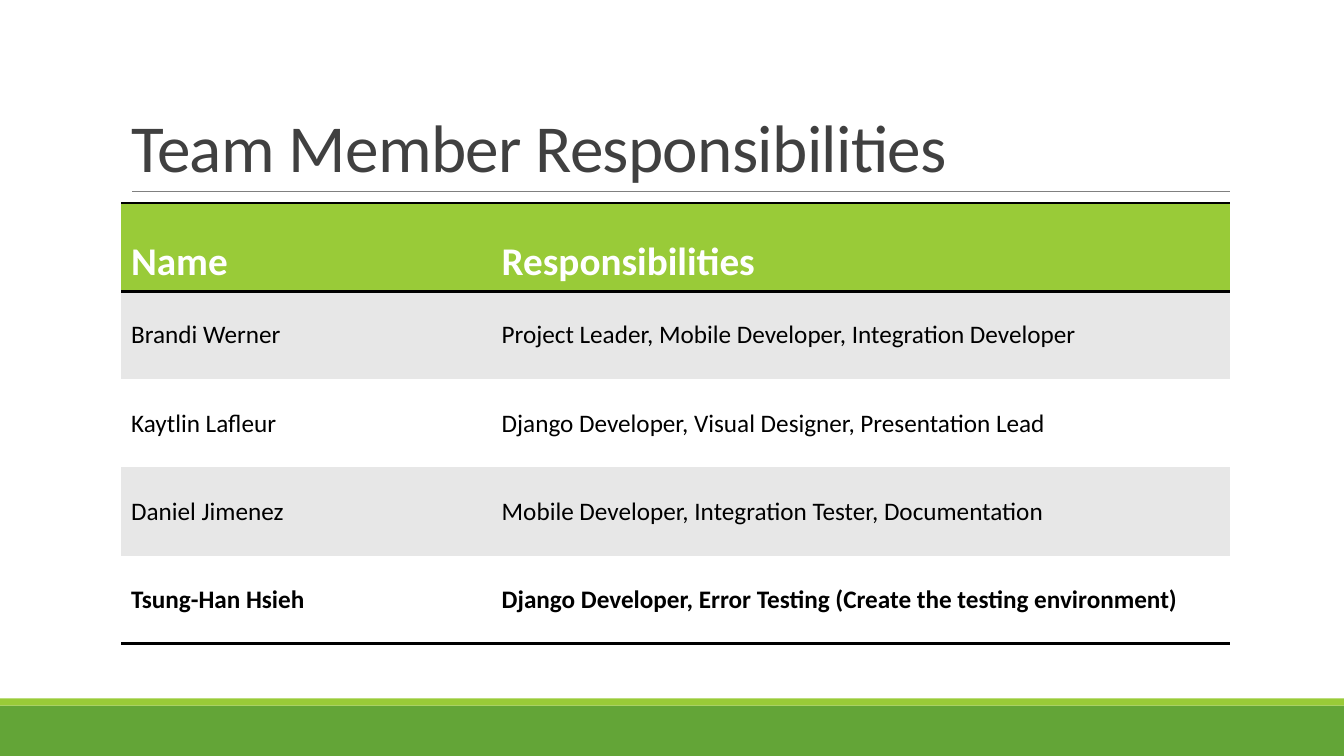
from dataclasses import dataclass

from lxml import etree
from pptx import Presentation
from pptx import util as u
from pptx.dml.color import RGBColor
from pptx.enum import shapes, text
from pptx.oxml import ns

BLACK = RGBColor(0x00, 0x00, 0x00)
WHITE = RGBColor(0xFF, 0xFF, 0xFF)
CHARCOAL = RGBColor(0x40, 0x40, 0x40)
GRAY = RGBColor(0x80, 0x80, 0x80)
PALE_GRAY = RGBColor(0xE7, 0xE7, 0xE7)
LIME = RGBColor(0x99, 0xCB, 0x38)
GREEN = RGBColor(0x63, 0xA5, 0x37)

FONT = "Calibri"
NO_GRID_STYLE = "{2D5ABB26-0587-4C30-8999-92F81FD0307C}"
SLIDE_WIDTH = u.Cm(33.87)
SLIDE_HEIGHT = u.Cm(19.05)
LEFT = u.Cm(3.05)
COLUMN_WIDTHS = (u.Cm(9.34), u.Cm(18.6))
ROW_HEIGHT = u.Cm(2.22)


@dataclass(frozen=True)
class Band:
    top: u.Length
    height: u.Length
    color: RGBColor


@dataclass(frozen=True)
class Member:
    name: str
    responsibilities: str


BANDS = (
    Band(u.Cm(17.78), u.Cm(1.27), GREEN),
    Band(u.Cm(17.6), u.Cm(0.18), LIME),
)
HEADING = Member("Name", "Responsibilities ")
MEMBERS = (
    Member("Brandi Werner", "Project Leader, Mobile Developer, Integration Developer"),
    Member("Kaytlin Lafleur", "Django Developer, Visual Designer, Presentation Lead"),
    Member("Daniel Jimenez", "Mobile Developer, Integration Tester, Documentation"),
    Member("Tsung-Han Hsieh",
           "Django Developer, Error Testing (Create the testing environment) "),
)


def write(frame, words: str, *, size: int, color: RGBColor, bold: bool = False,
          line_spacing: float = 1.0, tracking: int = 0) -> None:
    para = frame.paragraphs[0]
    para.alignment = text.PP_ALIGN.LEFT
    para.line_spacing = line_spacing
    span = para.add_run()
    span.text = words
    span.font.name = FONT
    span.font.size = u.Pt(size)
    span.font.bold = bold
    span.font.color.rgb = color
    if tracking:
        span.font._element.set("spc", str(tracking))


def draw_band(page, band: Band) -> None:
    box = page.shapes.add_shape(shapes.MSO_SHAPE.RECTANGLE, 0, band.top,
                                SLIDE_WIDTH, band.height)
    box.shadow.inherit = False
    box.fill.solid()
    box.fill.fore_color.rgb = band.color
    box.line.fill.background()


def draw_rule(page) -> None:
    height = u.Cm(4.82)
    rule = page.shapes.add_connector(shapes.MSO_CONNECTOR.STRAIGHT,
                                     u.Cm(3.33), height, u.Cm(31), height)
    rule.line.color.rgb = GRAY
    rule.line.width = u.Pt(0.5)
    etree.SubElement(rule._element.spPr, ns.qn("a:effectLst"))


def draw_title(page) -> None:
    title = page.shapes.title
    title.left, title.top = LEFT, u.Cm(0.79)
    title.width, title.height = sum(COLUMN_WIDTHS), u.Cm(4.04)
    frame = title.text_frame
    frame.word_wrap = True
    frame.auto_size = text.MSO_AUTO_SIZE.NONE
    frame.vertical_anchor = text.MSO_ANCHOR.BOTTOM
    write(frame, "Team Member Responsibilities ", size=48, color=CHARCOAL,
          line_spacing=0.85, tracking=-50)


def add_borders(cell, sides: tuple[str, ...]) -> None:
    properties = cell._tc.get_or_add_tcPr()
    for position, side in enumerate(sides):
        border = etree.Element(ns.qn(f"a:ln{side}"), w=str(u.Pt(2)))
        fill = etree.SubElement(border, ns.qn("a:solidFill"))
        etree.SubElement(fill, ns.qn("a:srgbClr"), val=str(BLACK))
        properties.insert(position, border)


def draw_table(page) -> None:
    rows = (HEADING, *MEMBERS)
    graphic = page.shapes.add_table(len(rows), len(COLUMN_WIDTHS), LEFT, u.Cm(5.12),
                                    sum(COLUMN_WIDTHS), ROW_HEIGHT * len(rows))
    table = graphic.table
    table.first_row = table.horz_banding = False
    table._tbl.tblPr.find(ns.qn("a:tableStyleId")).text = NO_GRID_STYLE
    for column, width in zip(table.columns, COLUMN_WIDTHS):
        column.width = width
    for index, member in enumerate(rows):
        heading, last = index == 0, index == len(rows) - 1
        fill = LIME if heading else PALE_GRAY if index % 2 else WHITE
        sides = ("T", "B") if heading else ("B",) if last else ()
        table.rows[index].height = ROW_HEIGHT
        for cell, words in zip(table.rows[index].cells,
                               (member.name, member.responsibilities)):
            cell.vertical_anchor = (text.MSO_ANCHOR.BOTTOM if heading
                                    else text.MSO_ANCHOR.MIDDLE)
            cell.fill.solid()
            cell.fill.fore_color.rgb = fill
            add_borders(cell, sides)
            write(cell.text_frame, words, size=28 if heading else 18,
                  color=WHITE if heading else BLACK, bold=heading or last)


deck = Presentation()
deck.slide_width, deck.slide_height = SLIDE_WIDTH, SLIDE_HEIGHT
page = deck.slides.add_slide(deck.slide_layouts.get_by_name("Title Only"))
for band in BANDS:
    draw_band(page, band)
draw_rule(page)
draw_title(page)
draw_table(page)
deck.save("out.pptx")
